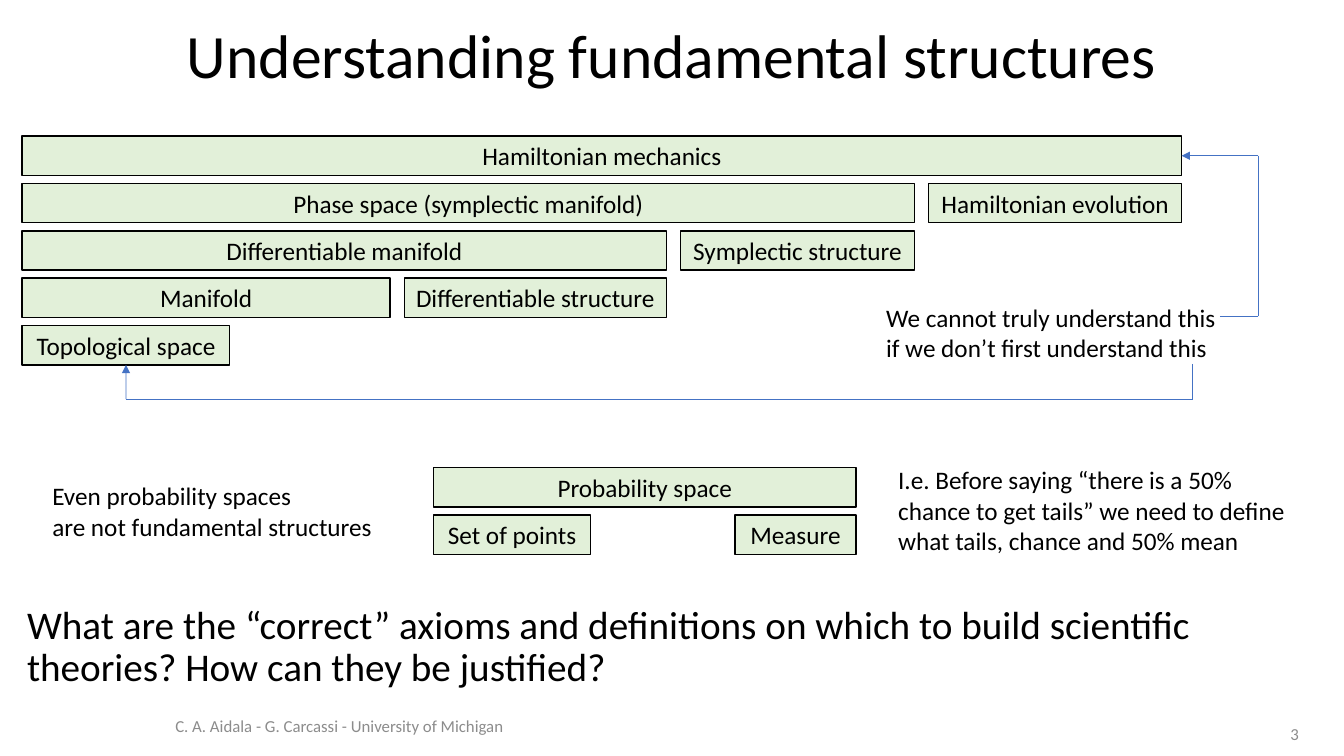
import pptx
import pptx.dml.color
import pptx.enum.shapes
import pptx.enum.text
import pptx.oxml
import pptx.oxml.ns
import pptx.util
from lxml import etree

Inches = pptx.util.Inches
Align = pptx.enum.text.PP_ALIGN
Anchor = pptx.enum.text.MSO_ANCHOR

BLACK = pptx.dml.color.RGBColor(0x00, 0x00, 0x00)
GRAY = pptx.dml.color.RGBColor(0x8C, 0x8C, 0x8C)
GREEN = pptx.dml.color.RGBColor(0xE2, 0xF0, 0xD9)
BLUE = pptx.dml.color.RGBColor(0x44, 0x72, 0xC4)

ROW_HEIGHT, ROW_PITCH = 0.39, 0.47
STACK_LEFT, STACK_TOP, GAP = 0.22, 1.35, 0.14
PROBABILITY_LEFT, PROBABILITY_RIGHT, PROBABILITY_TOP = 4.3, 8.49, 4.64

presentation = pptx.Presentation()
presentation.slide_width = Inches(13.33)
presentation.slide_height = Inches(7.5)
slide = presentation.slides.add_slide(presentation.slide_layouts[6])


def write(shape, text, size=18, color=BLACK, align=Align.LEFT, anchor=Anchor.TOP, wrap=True):
    """Put text into a shape and return its first paragraph."""
    frame = shape.text_frame
    frame.text = text
    frame.word_wrap = wrap
    frame.vertical_anchor = anchor
    for paragraph in frame.paragraphs:
        paragraph.alignment = align
        paragraph.font.size = pptx.util.Pt(size)
        paragraph.font.name = "Calibri"
        paragraph.font.color.rgb = color
    return frame.paragraphs[0]


def add_block(text, left, right, top):
    """Draw one structure as a green bar between two horizontal edges."""
    block = slide.shapes.add_shape(
        pptx.enum.shapes.MSO_SHAPE.RECTANGLE,
        Inches(left), Inches(top), Inches(right - left), Inches(ROW_HEIGHT))
    block.shadow.inherit = False
    block.fill.solid()
    block.fill.fore_color.rgb = GREEN
    block.line.color.rgb = BLACK
    block.line.width = pptx.util.Pt(1)
    write(block, text, align=Align.CENTER, anchor=Anchor.MIDDLE, wrap=False)
    return block


# Title
title = slide.shapes.add_textbox(Inches(0.11), Inches(0.09), Inches(13.11), Inches(0.98))
heading = write(title, "Understanding fundamental structures", 44,
                align=Align.CENTER, anchor=Anchor.MIDDLE)
heading.line_spacing = 0.9

# Each structure splits into a base and an added part that fills the rest of the row
stack = [
    ("Hamiltonian mechanics", 11.72, None),
    ("Phase space (symplectic manifold)", 9.07, "Hamiltonian evolution"),
    ("Differentiable manifold", 6.61, "Symplectic structure"),
    ("Manifold", 3.87, "Differentiable structure"),
    ("Topological space", 2.28, None),
]
blocks = {}
row_right = None
for row, (base, right, added) in enumerate(stack):
    top = STACK_TOP + row * ROW_PITCH
    blocks[base] = add_block(base, STACK_LEFT, right, top)
    if added:
        add_block(added, right + GAP, row_right, top)
    row_right = right

# Probability space and its parts
parts_top = PROBABILITY_TOP + ROW_PITCH
add_block("Probability space", PROBABILITY_LEFT, PROBABILITY_RIGHT, PROBABILITY_TOP)
add_block("Set of points", PROBABILITY_LEFT, PROBABILITY_LEFT + 1.56, parts_top)
add_block("Measure", PROBABILITY_RIGHT - 1.2, PROBABILITY_RIGHT, parts_top)

# Lines from the remark to the top and bottom of the stack
connections = [
    ((12.1, 3.14), (12.48, 3.14), None, None),
    ((12.48, 3.14), (12.48, 1.545), None, None),
    ((12.48, 1.545), (11.72, 1.545), "Hamiltonian mechanics", 3),
    ((11.83, 3.61), (11.83, 3.96), None, None),
    ((11.83, 3.96), (1.25, 3.96), None, None),
    ((1.25, 3.96), (1.25, 3.62), "Topological space", 2),
]
for start, end, target, side in connections:
    connector = slide.shapes.add_connector(
        pptx.enum.shapes.MSO_CONNECTOR.STRAIGHT, *map(Inches, start + end))
    connector.line.color.rgb = BLUE
    connector.line.width = pptx.util.Pt(0.5)
    properties = connector._element.spPr
    etree.SubElement(properties, pptx.oxml.ns.qn("a:effectLst"))
    if target:
        connector.end_connect(blocks[target], side)
        line = properties.find(pptx.oxml.ns.qn("a:ln"))
        etree.SubElement(line, pptx.oxml.ns.qn("a:tailEnd"), type="triangle")

# Remarks
remarks = [
    ("We cannot truly understand this\vif we don’t first understand this",
     8.69, 2.95, 3.51, 0.71, False),
    ("Even probability spaces\nare not fundamental structures", 0.42, 4.72, 3.41, 0.71, False),
    ("I.e. Before saying “there is a 50% chance to get tails” we need to define "
     "what tails, chance and 50% mean", 8.81, 4.56, 4.26, 1.01, True),
]
for text, left, top, width, height, wrap in remarks:
    remark = slide.shapes.add_textbox(*map(Inches, (left, top, width, height)))
    write(remark, text, wrap=wrap)

# Closing question
question = slide.shapes.add_textbox(Inches(0.17), Inches(5.96), Inches(12.97), Inches(1.44))
bullet_paragraph = question.text_frame.paragraphs[0]
bullet_properties = bullet_paragraph._p.get_or_add_pPr()
bullet_properties.set("marL", str(Inches(0.25)))
bullet_properties.set("indent", str(-Inches(0.25)))
etree.SubElement(bullet_properties, pptx.oxml.ns.qn("a:buFont"), typeface="Arial")
etree.SubElement(bullet_properties, pptx.oxml.ns.qn("a:buChar"), char="•")
bullet_paragraph = write(
    question, "What are the “correct” axioms and definitions on which to build scientific "
    "theories? How can they be justified?", 28)
bullet_paragraph.line_spacing = 0.9

# Footer
number = slide.shapes.add_textbox(Inches(12.37), Inches(7.15), Inches(0.61), Inches(0.25))
write(number, "3", 12, GRAY, Align.RIGHT, Anchor.MIDDLE)
footer = slide.shapes.add_textbox(Inches(1.64), Inches(7), Inches(6.53), Inches(0.4))
write(footer, "C. A. Aidala - G. Carcassi - University of Michigan", 12, GRAY,
      anchor=Anchor.MIDDLE)

presentation.save("out.pptx")
